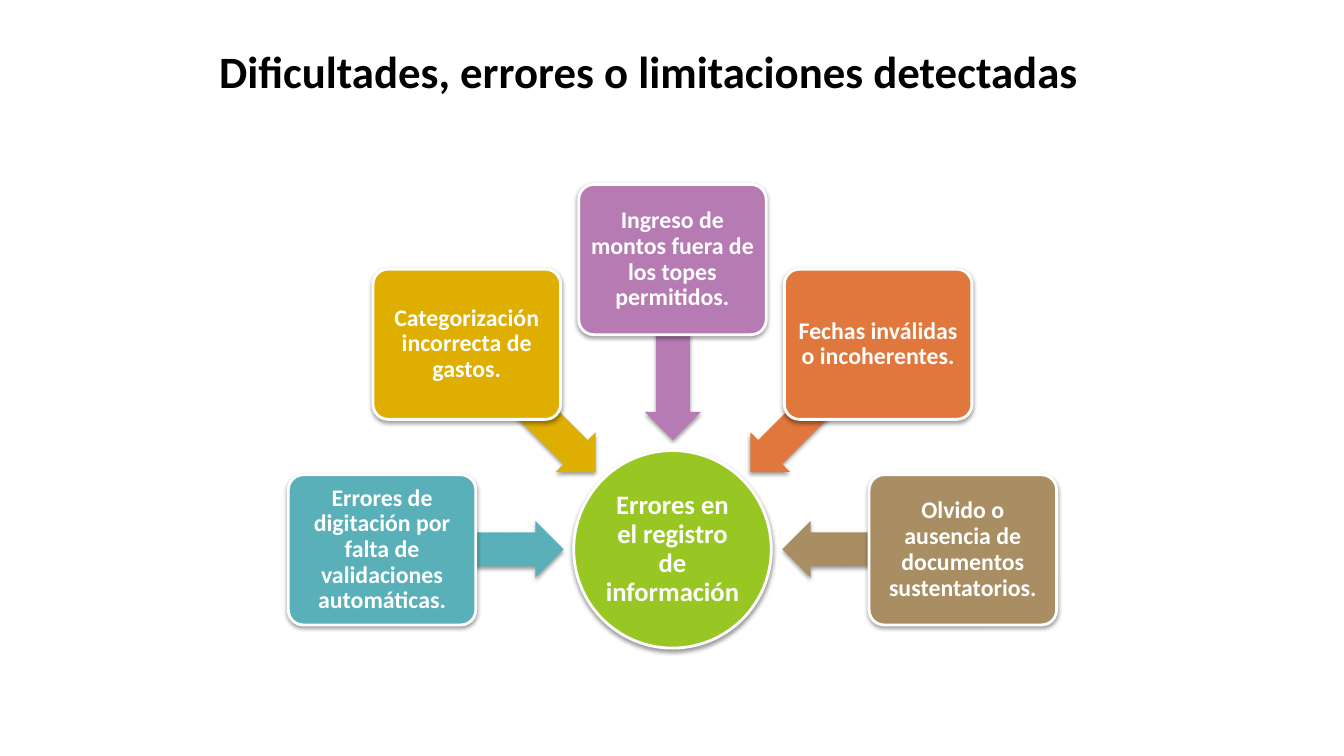
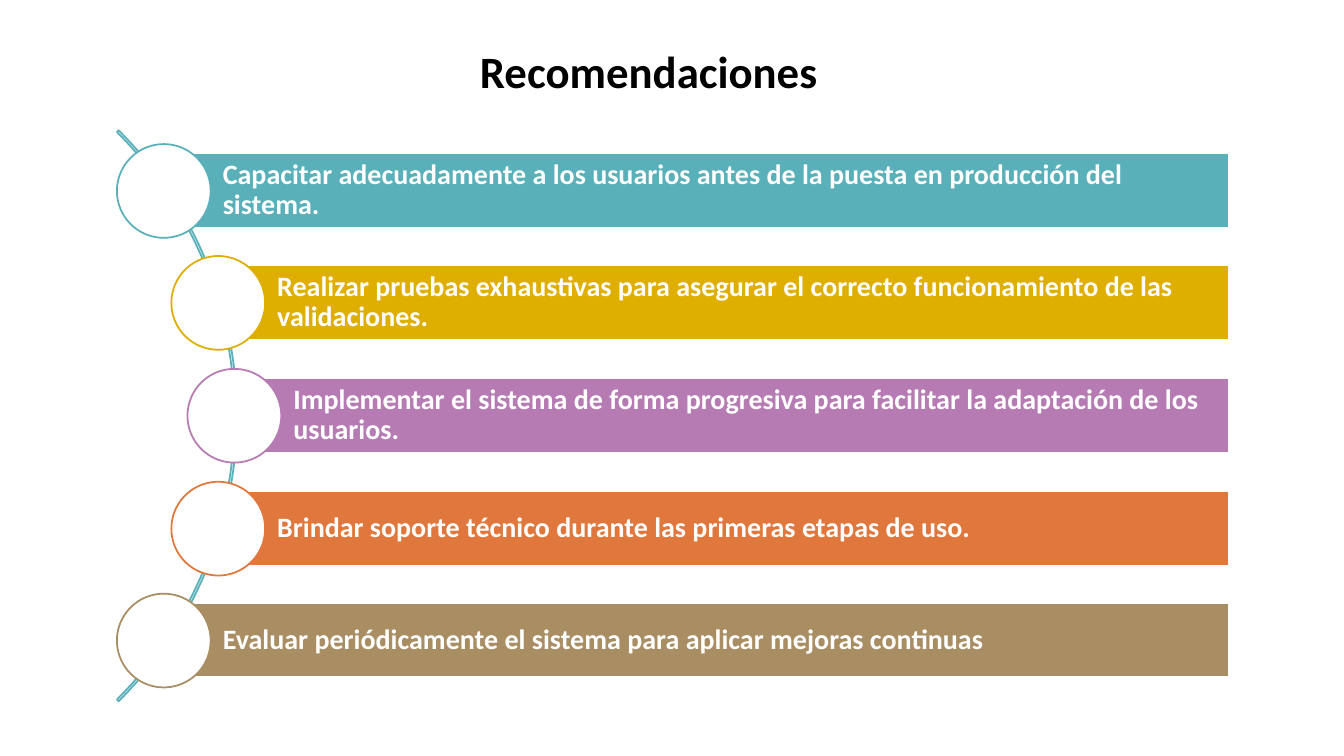
"""Build two slides on data entry errors and recommendations."""
from dataclasses import dataclass
from math import cos, radians, sin

from lxml import etree
from pptx import Presentation
from pptx.dml.color import RGBColor
from pptx.enum.shapes import MSO_SHAPE
from pptx.enum.text import MSO_ANCHOR, PP_ALIGN
from pptx.oxml.ns import qn
from pptx.util import Pt

PX = 9144
TITLE_ONLY = 5
ARC, ARROW, BAR = MSO_SHAPE.BLOCK_ARC, MSO_SHAPE.LEFT_ARROW, MSO_SHAPE.RECTANGLE
CARD, CIRCLE = MSO_SHAPE.ROUNDED_RECTANGLE, MSO_SHAPE.OVAL
MIDDLE, CENTER, LEFT = MSO_ANCHOR.MIDDLE, PP_ALIGN.CENTER, PP_ALIGN.LEFT


@dataclass(frozen=True)
class Theme:
    font: str = "Calibri"
    ink: str = "000000"
    paper: str = "FFFFFF"
    hub: str = "98C723"
    accents: tuple = ("59B0B9", "DEAE00", "B77BB4", "E0773C", "A98D63")
    title_size: int = 32
    hub_size: int = 19
    card_size: int = 17
    bar_size: int = 20
    thick: float = 2
    thin: float = 1.25


class Deck:
    def __init__(self, theme):
        self.theme = theme
        self.prs = Presentation()
        self.prs.slide_width, self.prs.slide_height = 1333 * PX, 750 * PX
        self.slide = None

    def new_slide(self, title):
        self.slide = self.prs.slides.add_slide(self.prs.slide_layouts[TITLE_ONLY])
        heading = self.slide.shapes.title
        heading.left, heading.top = 61 * PX, 34 * PX
        heading.width, heading.height = 1165 * PX, 73 * PX
        self.set_text(heading, title, self.theme.title_size, self.theme.ink)

    def set_text(self, shape, text, size, color, align=CENTER, insets=(10, 5, 10, 5), spacing=1.0):
        frame = shape.text_frame
        frame.text = text
        frame.word_wrap = True
        frame.vertical_anchor = MIDDLE
        frame.margin_left, frame.margin_top, frame.margin_right, frame.margin_bottom = (
            inset * PX for inset in insets)
        paragraph = frame.paragraphs[0]
        paragraph.alignment = align
        paragraph.line_spacing = spacing
        font = paragraph.font
        font.name, font.size, font.bold = self.theme.font, Pt(size), True
        font.color.rgb = RGBColor.from_string(color)

    def draw(self, kind, center, size, fill=None, line=None, weight=0, adjust=()):
        (x, y), (width, height) = center, size
        shape = self.slide.shapes.add_shape(
            kind, (x - width // 2) * PX, (y - height // 2) * PX, width * PX, height * PX)
        shape.shadow.inherit = False
        if fill:
            shape.fill.solid()
            shape.fill.fore_color.rgb = RGBColor.from_string(fill)
        else:
            shape.fill.background()
        if line:
            shape.line.color.rgb = RGBColor.from_string(line)
            shape.line.width = Pt(weight)
        else:
            shape.line.fill.background()
        for index, value in enumerate(adjust):
            shape.adjustments[index] = value
        return shape

    def cast_shadow(self, shape):
        effects = shape._element.spPr.find(qn("a:effectLst"))
        shadow = etree.SubElement(
            effects, qn("a:outerShdw"), blurRad=str(Pt(3.1)), dist=str(Pt(1.6)),
            dir="5400000", rotWithShape="0")
        color = etree.SubElement(shadow, qn("a:srgbClr"), val=self.theme.ink)
        etree.SubElement(color, qn("a:alpha"), val="38000")

    def label(self, kind, center, size, fill, text, text_size, inset, adjust=()):
        shape = self.draw(kind, center, size, fill, self.theme.paper, self.theme.thick, adjust)
        self.cast_shadow(shape)
        self.set_text(shape, text, text_size, self.theme.paper, insets=(inset,) * 4, spacing=0.9)

    def arrow(self, center, angle, color):
        arrow = self.draw(ARROW, center, (179, 56), color, adjust=(0.6, 0.5))
        arrow.rotation = angle
        self.cast_shadow(arrow)

    def radial(self, hub_text, causes):
        theme, hub = self.theme, (667, 545)

        def around(radius, angle):
            turn = radians(angle)
            return hub[0] + round(radius * cos(turn)), hub[1] + round(radius * sin(turn))

        self.label(CIRCLE, hub, (196, 196), theme.hub, hub_text, theme.hub_size, 1)
        for index, (cause, color) in enumerate(zip(causes, theme.accents)):
            angle = (180 + 45 * index) % 360
            self.arrow(around(198, angle), angle, color)
            self.label(CARD, around(288, angle), (186, 149), color, cause,
                       theme.card_size, 4, (0.1,))

    def curved_list(self, items):
        theme, middle, right = self.theme, 412, 1219
        self.draw(ARC, (-166, middle), (801, 801), None, theme.accents[0], theme.thin,
                  (189, 27, 0.003))
        node_xs = (162, 216, 232, 216, 162)
        for index, (item, color, x) in enumerate(zip(items, theme.accents, node_xs)):
            y = middle + round(111.6 * (index - 2))
            bar = self.draw(BAR, ((x + right) // 2, y), (right - x, 74), color,
                            theme.paper, theme.thin)
            self.set_text(bar, item, theme.bar_size, theme.paper, LEFT, (59, 6, 6, 6), 0.9)
            self.draw(CIRCLE, (x, y), (93, 93), theme.paper, color, theme.thin)


def main():
    deck = Deck(Theme())
    deck.new_slide("Dificultades, errores o limitaciones detectadas")
    deck.radial("Errores en el registro de información", (
        "Errores de digitación por falta de validaciones automáticas.",
        "Categorización incorrecta de gastos.",
        "Ingreso de montos fuera de los topes permitidos.",
        "Fechas inválidas o incoherentes.",
        "Olvido o ausencia de documentos sustentatorios.",
    ))
    deck.new_slide("Recomendaciones")
    deck.curved_list((
        "Capacitar adecuadamente a los usuarios antes de la puesta en producción del sistema.",
        "Realizar pruebas exhaustivas para asegurar el correcto funcionamiento de las validaciones.",
        "Implementar el sistema de forma progresiva para facilitar la adaptación de los usuarios.",
        "Brindar soporte técnico durante las primeras etapas de uso.",
        "Evaluar periódicamente el sistema para aplicar mejoras continuas",
    ))
    deck.prs.save("out.pptx")


if __name__ == "__main__":
    main()
